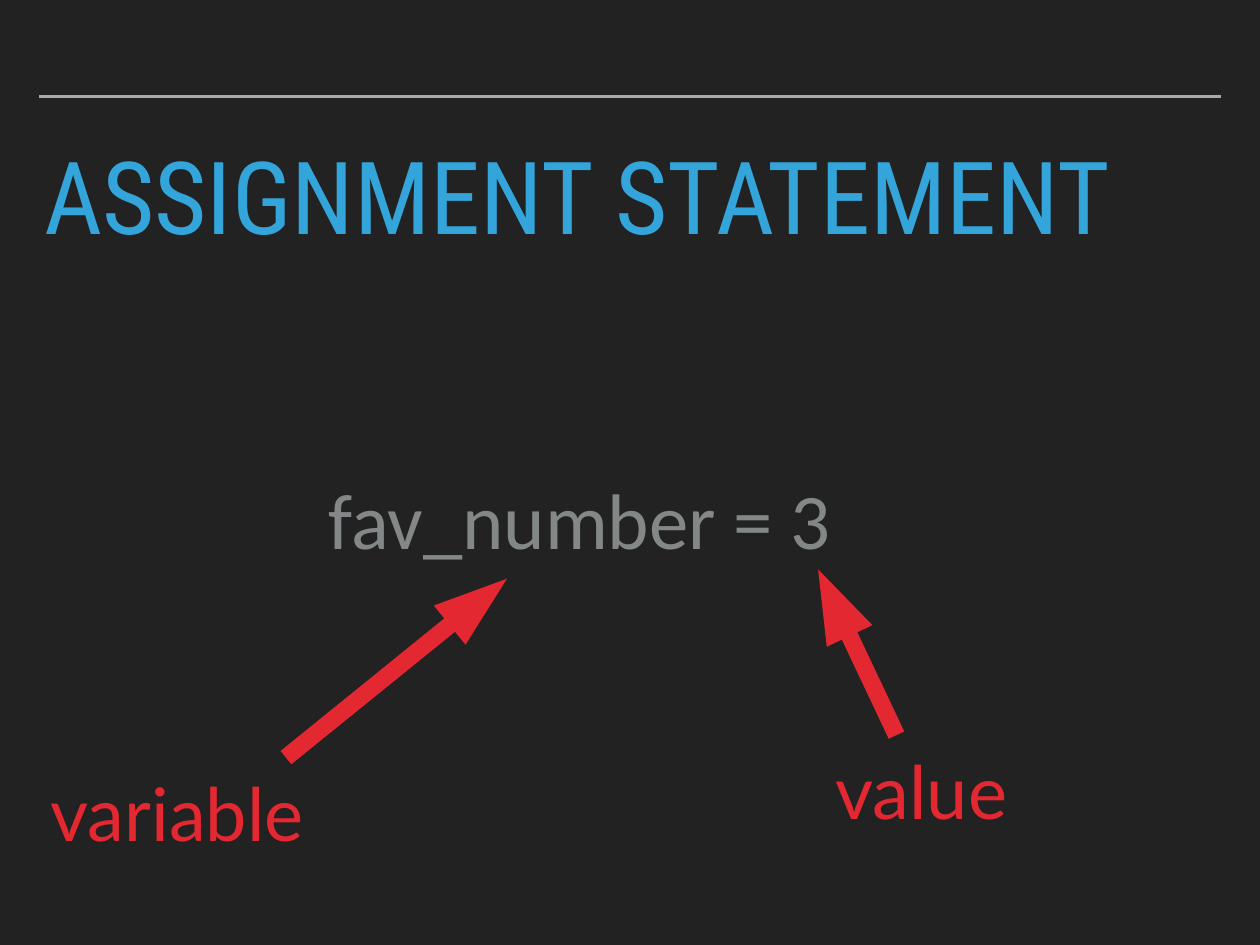
from dataclasses import dataclass

from lxml.etree import SubElement
from pptx import Presentation
from pptx.dml.color import RGBColor
from pptx.enum.shapes import MSO_CONNECTOR, MSO_SHAPE
from pptx.enum.text import MSO_ANCHOR
from pptx.oxml.ns import qn
from pptx.slide import Slide
from pptx.util import Inches, Pt

PAGE_WIDTH, PAGE_HEIGHT = Inches(14.22), Inches(10.67)
TEXT_INSET = Inches(0.06)


@dataclass(frozen=True)
class Theme:
    background: str = "222222"
    rule: str = "A6AAA9"
    title: str = "34A5DA"
    code: str = "838787"
    accent: str = "E42832"
    title_font: str = "Roboto Condensed"
    code_font: str = "Calibri"
    label_font: str = "Lato"
    title_size: int = 82
    code_size: int = 64
    label_size: int = 60
    rule_weight: int = 2


THEME = Theme()


@dataclass(frozen=True)
class Area:
    """Left, top, width and height in percent of the slide."""
    left: float
    top: float
    width: float
    height: float

    def lengths(self) -> tuple[int, int, int, int]:
        return (across(self.left), down(self.top),
                across(self.width), down(self.height))


@dataclass(frozen=True)
class Label:
    text: str
    area: Area


@dataclass(frozen=True)
class Arrow:
    area: Area
    rotation: float


LABELS = (
    Label("variable", Area(3.59, 80.04, 22.43, 11.72)),
    Label("value", Area(65.89, 77.79, 15.33, 11.72)),
)
ARROWS = (
    Arrow(Area(20.18, 68.04, 22.57, 5.34), 321),
    Arrow(Area(60.76, 66.35, 14.56, 5.34), 244.7),
)


def across(percent: float) -> int:
    return round(PAGE_WIDTH * percent / 100)


def down(percent: float) -> int:
    return round(PAGE_HEIGHT * percent / 100)


def add_text(page: Slide, text: str, area: Area, *, font: str, size: int,
             color: str, line_spacing: float = 1.0) -> None:
    box = page.shapes.add_textbox(*area.lengths())
    frame = box.text_frame
    frame.word_wrap = True
    frame.vertical_anchor = MSO_ANCHOR.MIDDLE
    frame.margin_left = frame.margin_right = TEXT_INSET
    frame.margin_top = frame.margin_bottom = TEXT_INSET
    para = frame.paragraphs[0]
    para.line_spacing = line_spacing
    span = para.add_run()
    span.text = text
    span.font.name = font
    span.font.size = Pt(size)
    span.font.color.rgb = RGBColor.from_string(color)


def add_arrow(page: Slide, arrow: Arrow) -> None:
    shape = page.shapes.add_shape(MSO_SHAPE.RIGHT_ARROW, *arrow.area.lengths())
    shape.adjustments[0] = 0.34
    shape.adjustments[1] = 1.46
    shape.rotation = arrow.rotation
    shape.shadow.inherit = False
    shape.fill.solid()
    shape.fill.fore_color.rgb = RGBColor.from_string(THEME.accent)
    shape.line.fill.background()


def add_rule(page: Slide, left: float, right: float, height: float) -> None:
    """Draw a level line between two shares of the slide's width."""
    rule = page.shapes.add_connector(
        MSO_CONNECTOR.STRAIGHT, across(left), down(height),
        across(right), down(height))
    rule.line.color.rgb = RGBColor.from_string(THEME.rule)
    rule.line.width = Pt(THEME.rule_weight)
    SubElement(rule.line._get_or_add_ln().getparent(), qn("a:effectLst"))


def main() -> None:
    deck = Presentation()
    deck.slide_width, deck.slide_height = PAGE_WIDTH, PAGE_HEIGHT
    page = deck.slides.add_slide(deck.slide_layouts[6])
    page.background.fill.solid()
    page.background.fill.fore_color.rgb = RGBColor.from_string(THEME.background)

    add_rule(page, 3.09, 96.91, 10.22)
    add_text(page, "ASSIGNMENT STATEMENT", Area(3.09, 15.75, 93.74, 12),
             font=THEME.title_font, size=THEME.title_size,
             color=THEME.title, line_spacing=0.8)
    add_text(page, "fav_number = 3", Area(25.67, 49.3, 48.66, 11.06),
             font=THEME.code_font, size=THEME.code_size, color=THEME.code)
    for arrow in ARROWS:
        add_arrow(page, arrow)
    for label in LABELS:
        add_text(page, label.text, label.area, font=THEME.label_font,
                 size=THEME.label_size, color=THEME.accent)
    deck.save("out.pptx")


if __name__ == "__main__":
    main()
